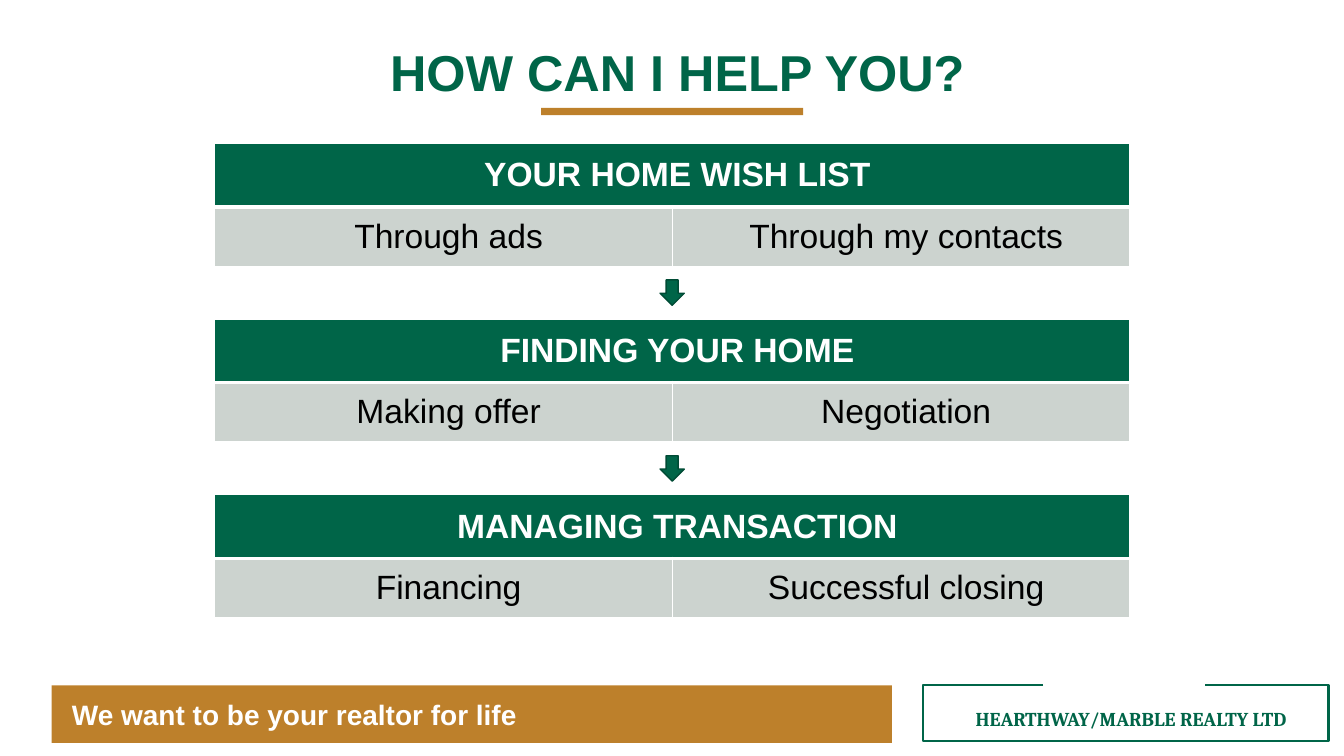
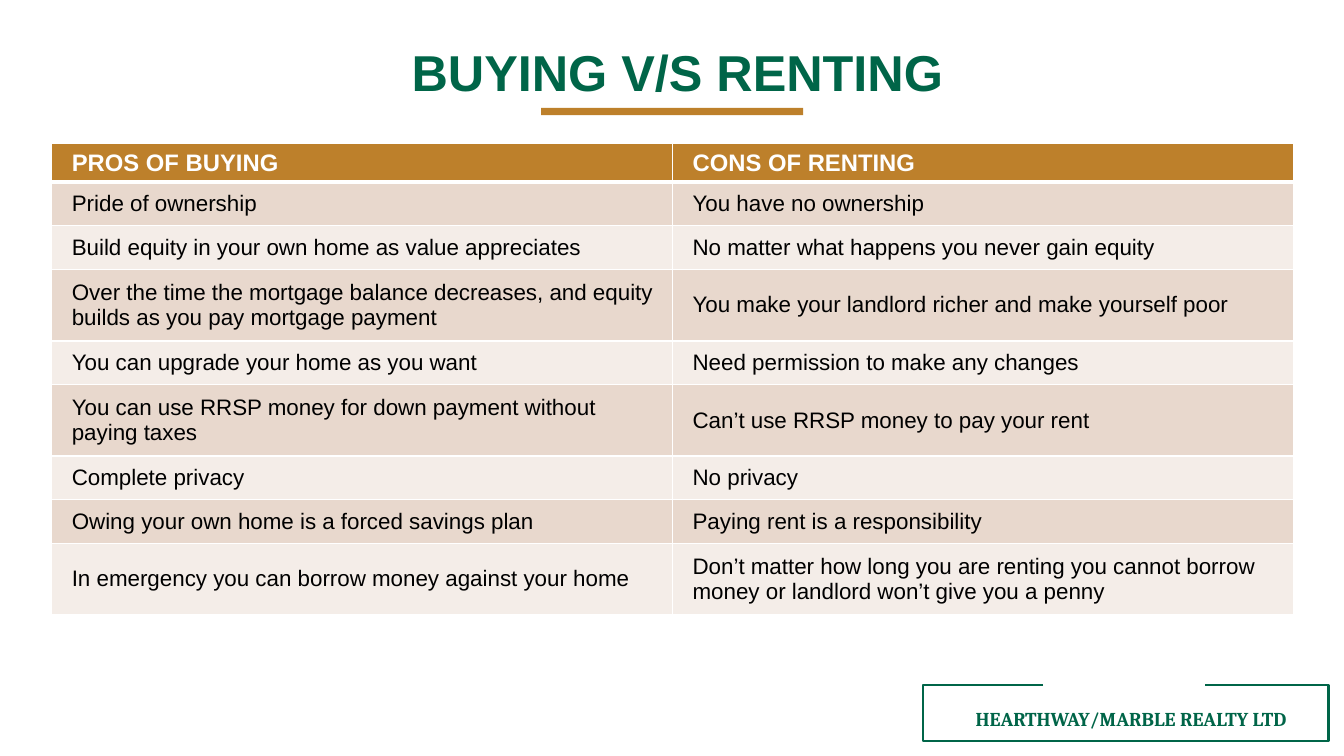
from lxml import etree
from pptx import Presentation
from pptx.dml.color import RGBColor
from pptx.enum.shapes import MSO_SHAPE
from pptx.enum.text import MSO_ANCHOR, PP_ALIGN
from pptx.oxml.ns import qn
from pptx.util import Cm, Pt

RECTANGLE, DOWN_ARROW = MSO_SHAPE.RECTANGLE, MSO_SHAPE.DOWN_ARROW
MIDDLE = MSO_ANCHOR.MIDDLE
LEFT, CENTER = PP_ALIGN.LEFT, PP_ALIGN.CENTER


class Theme:
    green = RGBColor.from_string("006548")
    dark_green = RGBColor.from_string("004B35")
    gold = RGBColor.from_string("BD802B")
    grey = RGBColor.from_string("CCD3CF")
    sand = RGBColor.from_string("E8D8CD")
    light_sand = RGBColor.from_string("F4EDE8")
    white = RGBColor.from_string("FFFFFF")
    black = RGBColor.from_string("000000")
    title = {"name": "Arial", "size": Pt(36), "bold": True}
    step_head = {"name": "Arial", "size": Pt(24), "bold": True}
    step_body = {"name": "Arial", "size": Pt(24), "bold": False}
    compare_head = {"name": "Arial", "size": Pt(17), "bold": True}
    compare_body = {"name": "Arial", "size": Pt(16), "bold": False}
    slogan = {"name": "Arial", "size": Pt(20), "bold": True}
    company = {"name": "Cambria", "size": Pt(14), "bold": True}
    padding = {"margin_left": Cm(0.51), "margin_right": Cm(0.25),
               "margin_top": Cm(0.13), "margin_bottom": Cm(0.13),
               "vertical_anchor": MIDDLE}


def write(holder, text_frame, text, style, color, align):
    """Put one formatted paragraph in a cell or text frame; return it."""
    for name, value in Theme.padding.items():
        setattr(holder, name, value)
    text_frame.word_wrap = True
    paragraph = text_frame.paragraphs[0]
    paragraph.text = text
    paragraph.alignment = align
    for name, value in style.items():
        setattr(paragraph.font, name, value)
    paragraph.font.color.rgb = color
    return paragraph


def add_grid(slide, left, top, width, heights, rows, head, body, align):
    """Add a two-column table; head is (style, fill), body (style, fills)."""
    table = slide.shapes.add_table(len(rows), 2, left, top, width, sum(heights)).table
    table.horz_banding = False
    for column in table.columns:
        column.width = width // 2
    for r, (height, texts) in enumerate(zip(heights, rows)):
        table.rows[r].height = height
        style, fills = body if r else (head[0], [head[1]])
        if len(texts) == 1:
            table.cell(r, 0).merge(table.cell(r, 1))
        for c in range(2):
            cell = table.cell(r, c)
            # White borders, thicker between head and body
            widths = {"a:lnL": 1, "a:lnR": 1, "a:lnT": 3 if r == 1 else 1,
                      "a:lnB": 1 if r else 3}
            for tag, points in widths.items():
                border = etree.SubElement(cell._tc.get_or_add_tcPr(), qn(tag), w=str(Pt(points)))
                paint = etree.SubElement(border, qn("a:solidFill"))
                etree.SubElement(paint, qn("a:srgbClr"), val=str(Theme.white))
            cell.fill.solid()
            cell.fill.fore_color.rgb = fills[(r - 1) % len(fills)]
            if c < len(texts):
                color = Theme.black if r else Theme.white
                write(cell, cell.text_frame, texts[c], style, color, align)


prs = Presentation()
prs.slide_width, prs.slide_height = Cm(33.87), Cm(19.05)
margin, content_width = Cm(1.3), Cm(31.29)
content_top, footer_top = Cm(3.61), Cm(17.27)

# Shared title, rule and company frame
slides = []
for title in ("HOW CAN I HELP YOU?", "BUYING V/S RENTING"):
    slide = prs.slides.add_slide(prs.slide_layouts[6])
    slides.append(slide)

    company = slide.shapes.add_textbox(Cm(23.27), Cm(17.68), Cm(10.21), Cm(0.86)).text_frame
    write(company, company, "HEARTHWAY/MARBLE REALTY LTD", Theme.company, Theme.green, CENTER)

    outline = slide.shapes.build_freeform(Cm(26.29), footer_top)
    outline.add_line_segments([(Cm(23.27), footer_top), (Cm(23.27), Cm(18.67)),
                               (Cm(33.48), Cm(18.67)), (Cm(33.48), footer_top),
                               (Cm(30.38), footer_top)], close=False)
    frame = outline.convert_to_shape()
    frame.shadow.inherit = False
    frame.fill.background()
    frame.line.color.rgb = Theme.green
    frame.line.width = Pt(1.5)

    rule = slide.shapes.add_shape(RECTANGLE, Cm(13.64), Cm(2.72), Cm(6.6), Cm(0.18))
    rule.shadow.inherit = False
    rule.fill.solid()
    rule.fill.fore_color.rgb = Theme.gold
    rule.line.fill.background()

    heading = slide.shapes.add_textbox(margin, Cm(1.07), content_width, Cm(1.63)).text_frame
    write(heading, heading, title, Theme.title, Theme.green, CENTER).line_spacing = 0.9

help_slide, compare_slide = slides

# Three steps with arrows in the gaps
steps = [
    [["YOUR HOME WISH LIST"], ["Through ads", "Through my contacts"]],
    [["FINDING YOUR HOME"], ["Making offer", "Negotiation"]],
    [["MANAGING TRANSACTION"], ["Financing", "Successful closing"]],
]
step_left, step_width = Cm(5.41), Cm(23.06)
step_heights = [Cm(1.6), Cm(1.5)]
step_gap = Cm(1.33)
arrow_width, arrow_height = Cm(0.61), Cm(0.64)
for i, step in enumerate(steps):
    step_top = content_top + i * (sum(step_heights) + step_gap)
    add_grid(help_slide, step_left, step_top, step_width, step_heights, step,
             (Theme.step_head, Theme.green), (Theme.step_body, [Theme.grey]), CENTER)
    if i:
        arrow = help_slide.shapes.add_shape(
            DOWN_ARROW, step_left + (step_width - arrow_width) // 2,
            step_top - (step_gap + arrow_height) // 2, arrow_width, arrow_height)
        arrow.shadow.inherit = False
        arrow.fill.solid()
        arrow.fill.fore_color.rgb = Theme.green
        arrow.line.color.rgb = Theme.dark_green
        arrow.line.width = Pt(1)

# Slogan bar
slogan = help_slide.shapes.add_shape(RECTANGLE, margin, footer_top, Cm(21.18), Cm(1.45))
slogan.shadow.inherit = False
slogan.fill.solid()
slogan.fill.fore_color.rgb = Theme.gold
slogan.line.fill.background()
write(slogan.text_frame, slogan.text_frame, "We want to be your realtor for life",
      Theme.slogan, Theme.white, LEFT)

# Buying and renting compared
comparison = [
    ["PROS OF BUYING", "CONS OF RENTING"],
    ["Pride of ownership", "You have no ownership"],
    ["Build equity in your own home as value appreciates",
     "No matter what happens you never gain equity"],
    ["Over the time the mortgage balance decreases, and equity builds as you pay mortgage payment",
     "You make your landlord richer and make yourself poor"],
    ["You can upgrade your home as you want", "Need permission to make any changes"],
    ["You can use RRSP money for down payment without paying taxes",
     "Can’t use RRSP money to pay your rent"],
    ["Complete privacy", "No privacy"],
    ["Owing your own home is a forced savings plan", "Paying rent is a responsibility"],
    ["In emergency you can borrow money against your home",
     "Don’t matter how long you are renting you cannot borrow money or landlord won’t give you a penny"],
]
one_line, two_lines = Cm(1.1), Cm(1.8)
longest_line = 55
compare_heights = [Cm(0.94)] + [
    two_lines if max(map(len, texts)) > longest_line else one_line for texts in comparison[1:]]
add_grid(compare_slide, margin, content_top, content_width, compare_heights, comparison,
         (Theme.compare_head, Theme.gold),
         (Theme.compare_body, [Theme.sand, Theme.light_sand]), LEFT)

prs.save("out.pptx")
